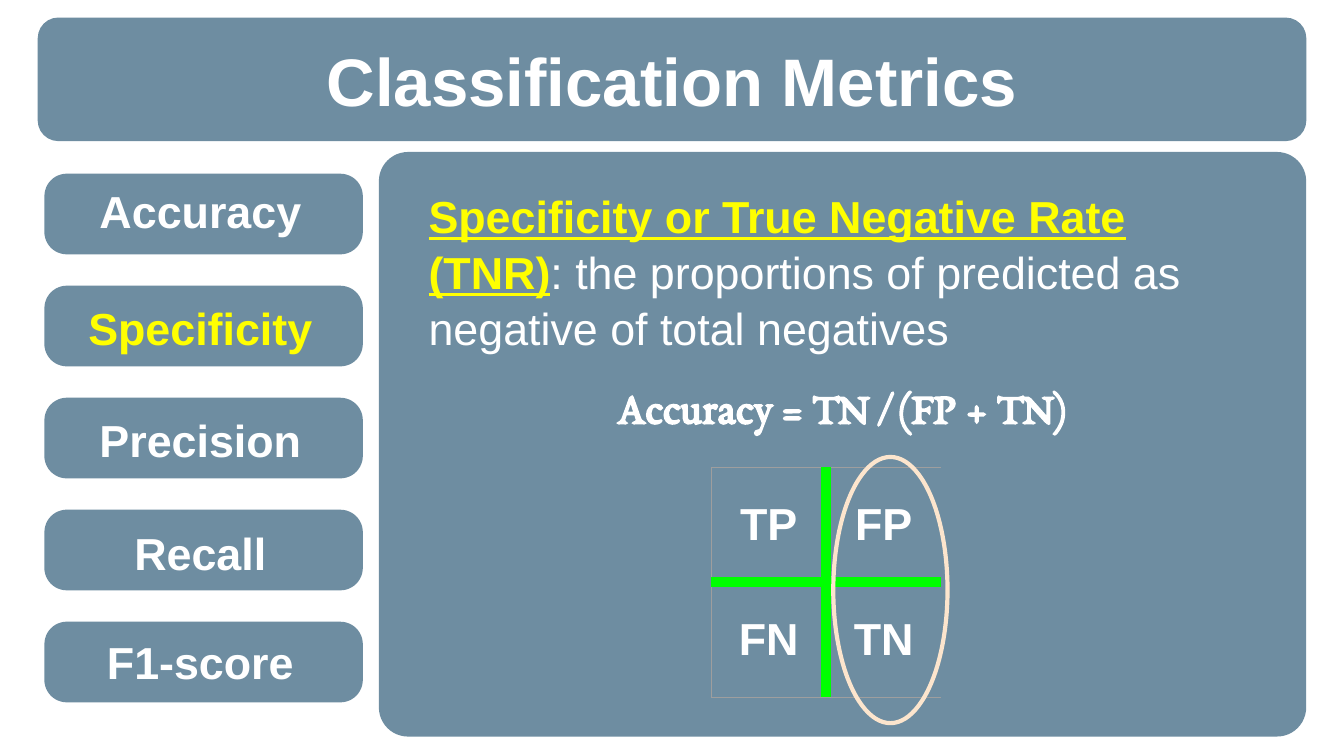
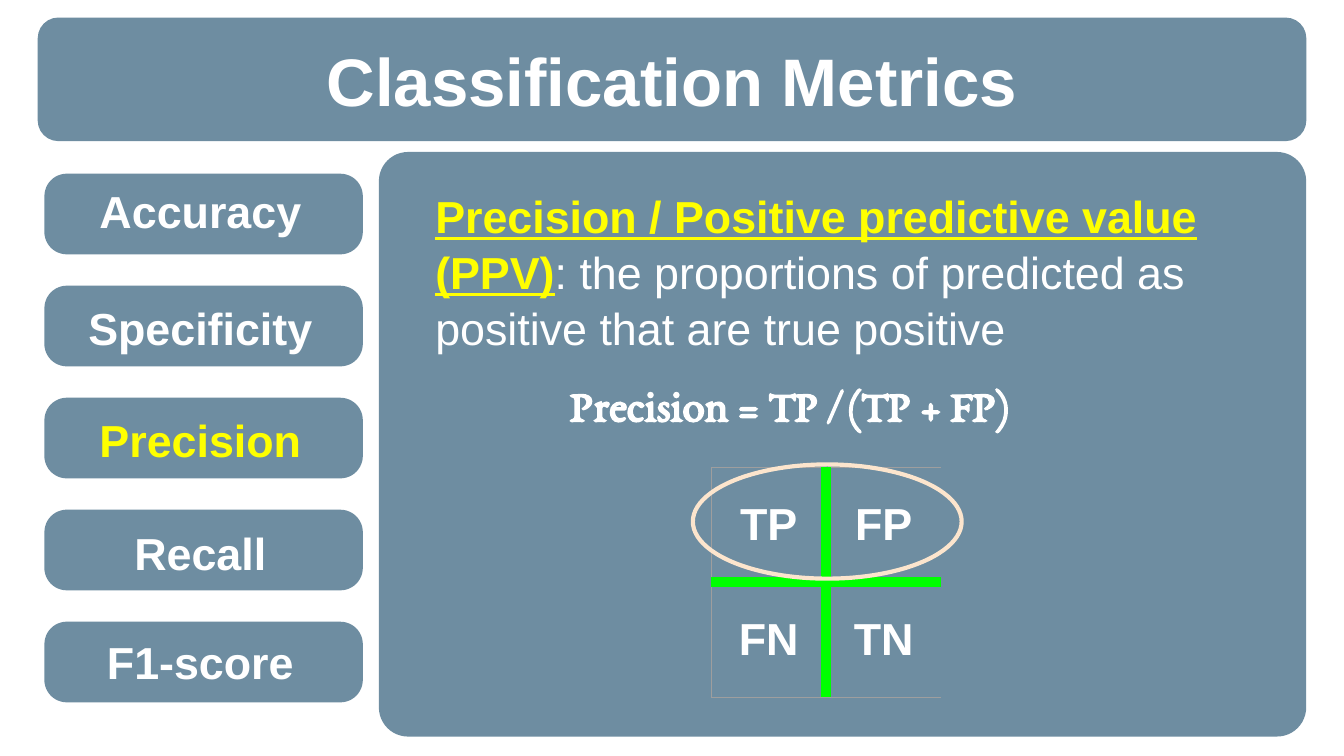
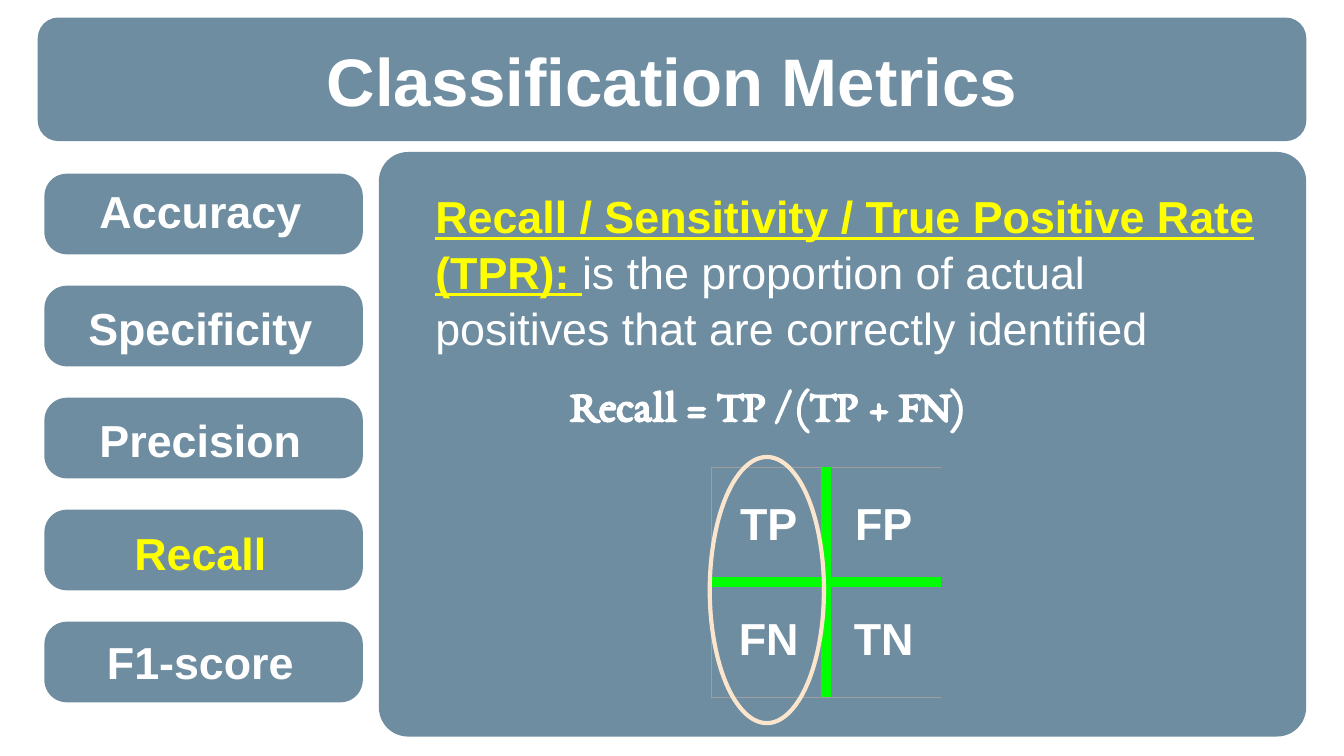
from dataclasses import dataclass
from typing import Optional

from lxml import etree
from pptx import Presentation
from pptx.dml.color import RGBColor
from pptx.enum.shapes import MSO_SHAPE
from pptx.enum.text import MSO_ANCHOR, MSO_AUTO_SIZE, PP_ALIGN
from pptx.oxml.ns import qn
from pptx.util import Pt

ROUNDED, ELLIPSE = MSO_SHAPE.ROUNDED_RECTANGLE, MSO_SHAPE.OVAL
LEFT, CENTER = PP_ALIGN.LEFT, PP_ALIGN.CENTER
TOP, MIDDLE = MSO_ANCHOR.TOP, MSO_ANCHOR.MIDDLE
NO_AUTOFIT = MSO_AUTO_SIZE.NONE

# Shared colours and fonts
PANEL = RGBColor(0x21, 0x51, 0x70)
WHITE = RGBColor(0xFF, 0xFF, 0xFF)
YELLOW = RGBColor(0xFF, 0xFF, 0x00)
GREEN = RGBColor(0x00, 0xFF, 0x00)
GRAY = RGBColor(0x9E, 0x9E, 0x9E)
PEACH = RGBColor(0xFC, 0xE5, 0xCD)
SANS, SERIF = "Arial", "EB Garamond"

INSET = Pt(7.2)
PANEL_OPACITY = 65
TITLE_ONLY = 5


@dataclass(frozen=True)
class Box:
    left: float
    top: float
    width: float
    height: float

    def lengths(self) -> tuple:
        return Pt(self.left), Pt(self.top), Pt(self.width), Pt(self.height)


@dataclass(frozen=True)
class Tab:
    name: str
    text_top: float
    text_height: float = 42.5


@dataclass(frozen=True)
class Metric:
    tab: str
    term: str
    meaning: str
    formula: str
    ring: Box
    ring_rotation: float = 0
    text_left: float = 226.1
    formula_align: PP_ALIGN = LEFT
    formula_indent: float = 36
    formula_gap: float = 10.8


HEADER_BOX = Box(20.2, 9.4, 679.6, 66.2)
CONTENT_BOX = Box(203, 81.4, 496.8, 313.2)
TITLE_BOX = Box(23.8, 20.9, 672.5, 43.2)
TAB_LEFT, TAB_TOP, TAB_PITCH = 23.8, 93.1, 60
TABS = [
    Tab("Accuracy", 91.4, 46.1),
    Tab("Specificity", 154.1),
    Tab("Precision", 213.8),
    Tab("Recall", 274.3),
    Tab("F1-score", 332.6),
]

MATRIX = [["TP", "FP"], ["FN", "TN"]]
MATRIX_LEFT, MATRIX_TOP, CELL_SIDE = 381, 250.4, 61.6

METRICS = [
    Metric("Specificity", "Specificity or True Negative Rate (TNR)",
           ": the proportions of predicted as negative of total negatives",
           "Accuracy = TN / (FP + TN) ", Box(446.4, 244.8, 61.2, 142.6),
           text_left=222.5, formula_align=CENTER, formula_indent=0, formula_gap=12),
    Metric("Precision", "Precision / Positive predictive value (PPV)",
           ": the proportions of predicted as positive that are true positive",
           "Precision = TP / (TP + FP)", Box(412.6, 207.4, 61.2, 144), ring_rotation=270),
    Metric("Recall", "Recall / Sensitivity / True Positive Rate (TPR): ",
           "is the proportion of actual positives that are correctly identified",
           "Recall = TP / (TP + FN)", Box(380.2, 244.8, 61.2, 142.6)),
]


def add_span(para, text: str, *, size: float = 24, font: str = SANS,
             color: RGBColor = WHITE, bold: bool = True, underline: bool = False) -> None:
    span = para.add_run()
    span.text = text
    span.font.size = Pt(size)
    span.font.name = font
    span.font.color.rgb = color
    span.font.bold = bold
    span.font.underline = underline


def prepare_frame(frame, anchor: MSO_ANCHOR = TOP) -> None:
    frame.word_wrap = True
    frame.auto_size = NO_AUTOFIT
    frame.vertical_anchor = anchor
    frame.margin_left = frame.margin_right = INSET
    frame.margin_top = frame.margin_bottom = INSET


def add_text_box(slide, box: Box):
    frame = slide.shapes.add_textbox(*box.lengths()).text_frame
    prepare_frame(frame)
    return frame


def add_panel(slide, box: Box, corner: float) -> None:
    panel = slide.shapes.add_shape(ROUNDED, *box.lengths())
    panel.adjustments[0] = corner
    panel.shadow.inherit = False
    panel.line.fill.background()
    panel.fill.solid()
    panel.fill.fore_color.rgb = PANEL
    color = panel.element.spPr.find(qn("a:solidFill"))[0]
    etree.SubElement(color, qn("a:alpha"), val=str(PANEL_OPACITY * 1000))


def add_title(slide, text: str) -> None:
    title = slide.shapes.title
    title.left, title.top, title.width, title.height = TITLE_BOX.lengths()
    prepare_frame(title.text_frame, MIDDLE)
    para = title.text_frame.paragraphs[0]
    para.alignment = CENTER
    add_span(para, text, size=36)
    # Bring the title in front of its panel
    slide.shapes.element.append(title.element)


def add_tabs(slide, current: str) -> None:
    for tab in TABS:
        frame = add_text_box(slide, Box(TAB_LEFT, tab.text_top, 167, tab.text_height))
        para = frame.paragraphs[0]
        para.alignment = CENTER
        add_span(para, tab.name, color=YELLOW if tab.name == current else WHITE)


def add_definition(slide, metric: Metric) -> None:
    frame = add_text_box(slide, Box(metric.text_left, 92.9, 461.5, 292.3))
    para = frame.paragraphs[0]
    add_span(para, metric.term, color=YELLOW, underline=True)
    add_span(para, metric.meaning, bold=False)
    formula = frame.add_paragraph()
    formula.alignment = metric.formula_align
    formula.space_before = Pt(metric.formula_gap)
    if metric.formula_indent:
        indent = str(Pt(metric.formula_indent))
        properties = formula._p.get_or_add_pPr()
        properties.set("marL", indent)
        properties.set("indent", indent)
    add_span(formula, metric.formula, font=SERIF)
    for para in frame.paragraphs:
        para.line_spacing = 1.04


def set_border(cell, position: int, side: str, color: Optional[RGBColor], width: float) -> None:
    line = etree.Element(qn(f"a:ln{side}"), w=str(Pt(width)))
    if color is None:
        etree.SubElement(line, qn("a:noFill"))
    else:
        fill = etree.SubElement(line, qn("a:solidFill"))
        etree.SubElement(fill, qn("a:srgbClr"), val=str(color))
    cell._tc.get_or_add_tcPr().insert(position, line)


def add_matrix(slide) -> None:
    side = 2 * CELL_SIDE
    box = Box(MATRIX_LEFT, MATRIX_TOP, side, side)
    table = slide.shapes.add_table(2, 2, *box.lengths()).table
    table.first_row = table.horz_banding = False
    for line in [*table.columns]:
        line.width = Pt(CELL_SIDE)
    for row, labels in enumerate(MATRIX):
        table.rows[row].height = Pt(CELL_SIDE)
        for column, label in enumerate(labels):
            cell = table.cell(row, column)
            cell.fill.background()
            cell.vertical_anchor = MIDDLE
            cell.margin_left = cell.margin_right = INSET
            cell.margin_top = cell.margin_bottom = INSET
            para = cell.text_frame.paragraphs[0]
            para.alignment = CENTER
            add_span(para, label)
            # Green inner cross, thin grey edges, open on the right
            inner, edge, none = (GREEN, 6), (GRAY, 0.75), (None, 0.75)
            borders = {
                "L": inner if column else edge,
                "R": none if column else inner,
                "T": inner if row else edge,
                "B": edge if row else inner,
            }
            for position, (name, border) in enumerate(borders.items()):
                set_border(cell, position, name, *border)


def add_ring(slide, metric: Metric) -> None:
    ring = slide.shapes.add_shape(ELLIPSE, *metric.ring.lengths())
    ring.rotation = metric.ring_rotation
    ring.shadow.inherit = False
    ring.fill.background()
    ring.line.color.rgb = PEACH
    ring.line.width = Pt(2.25)


def add_metric_slide(deck, metric: Metric) -> None:
    slide = deck.slides.add_slide(deck.slide_layouts[TITLE_ONLY])
    add_panel(slide, HEADER_BOX, 0.167)
    add_panel(slide, CONTENT_BOX, 0.05)
    for index in range(len(TABS)):
        add_panel(slide, Box(TAB_LEFT, TAB_TOP + index * TAB_PITCH, 170.6, 43.2), 0.278)
    add_definition(slide, metric)
    add_title(slide, "Classification Metrics")
    add_tabs(slide, metric.tab)
    add_matrix(slide)
    add_ring(slide, metric)


def main() -> None:
    deck = Presentation()
    deck.slide_width, deck.slide_height = Pt(720), Pt(405)
    for metric in METRICS:
        add_metric_slide(deck, metric)
    deck.save("out.pptx")


if __name__ == "__main__":
    main()
